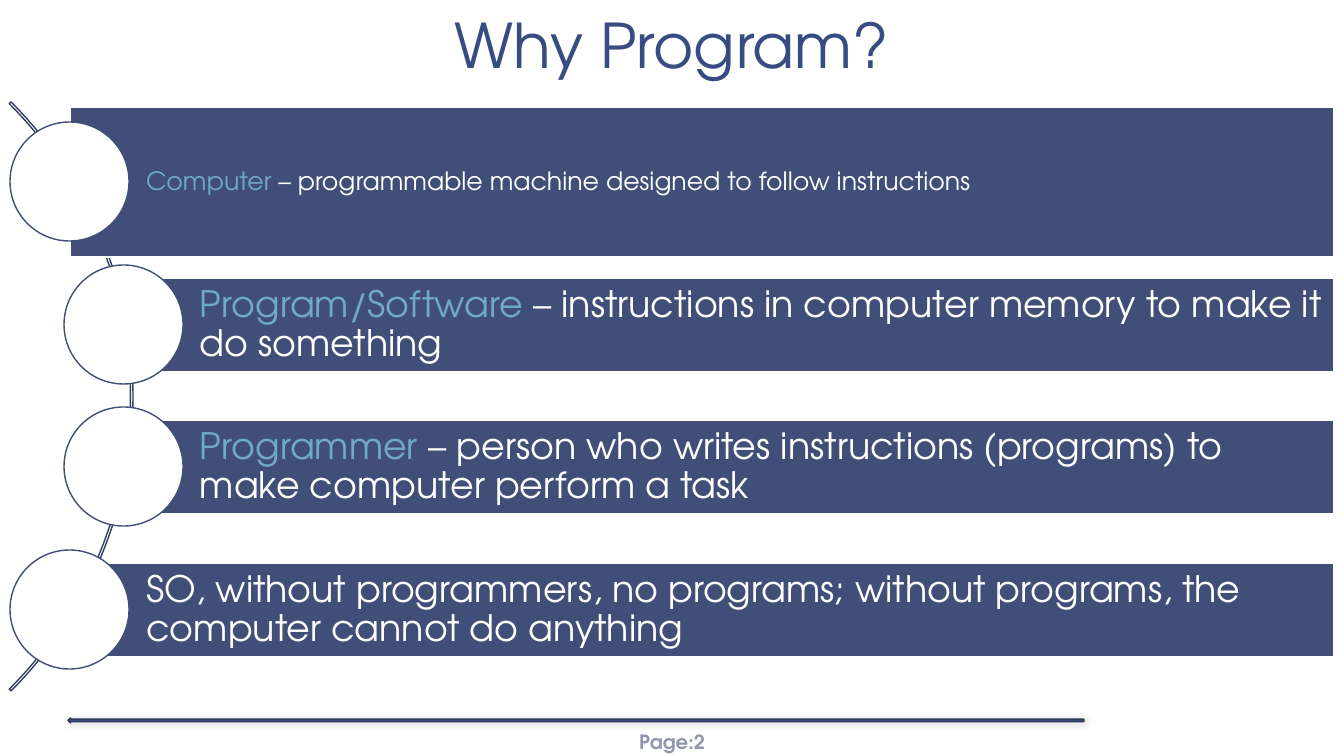
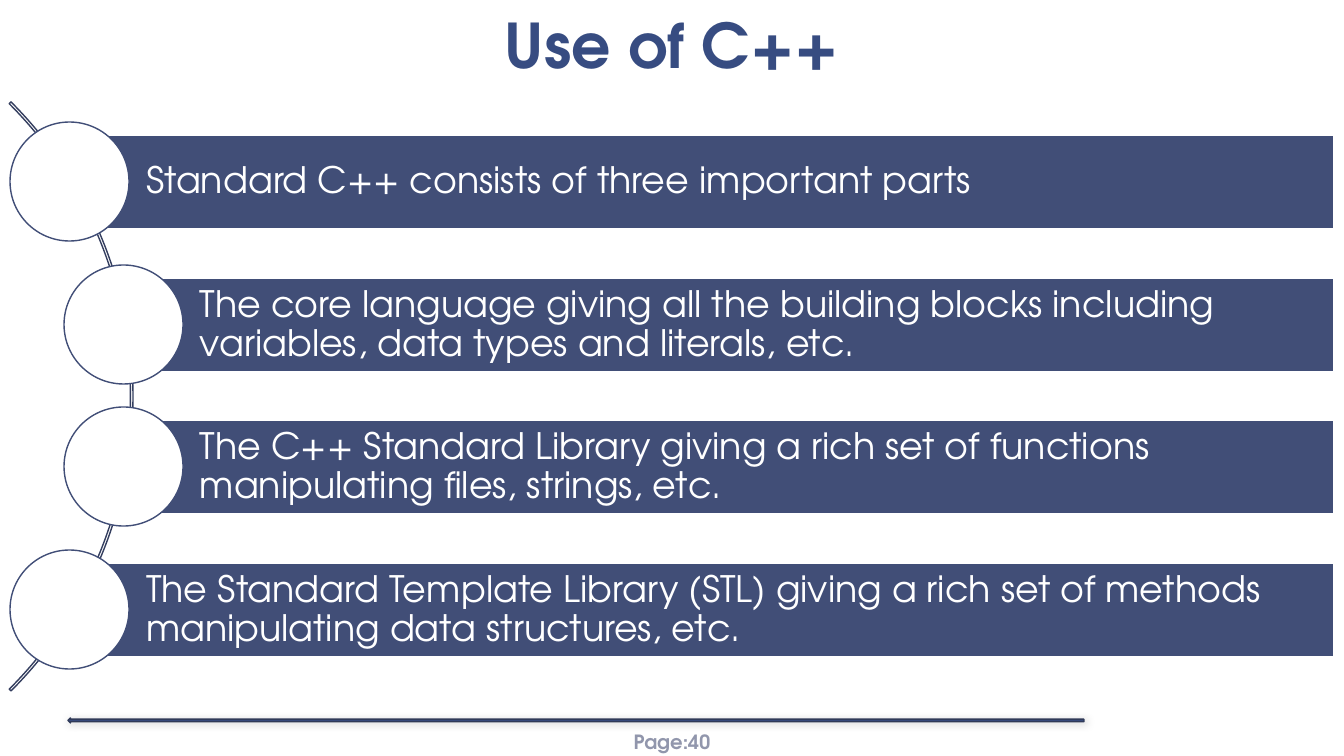
from dataclasses import dataclass

from lxml.etree import SubElement
from pptx import Presentation
from pptx.dml.color import RGBColor
from pptx.enum.shapes import MSO_SHAPE
from pptx.enum.text import MSO_ANCHOR, MSO_AUTO_SIZE, PP_ALIGN
from pptx.oxml.ns import qn
from pptx.presentation import Presentation as Deck
from pptx.shapes.autoshape import Shape
from pptx.slide import Slide
from pptx.text.text import TextFrame
from pptx.util import Emu, Pt

EMU_PER_PX = 914400 / 100.8
PAGE_WIDTH, PAGE_HEIGHT = 1344, 756
FONT = "TeX Gyre Adventor"

WHITE = "FFFFFF"
NAVY = "414E77"
TITLE_BLUE = "374C81"
ARC_BLUE = "343E5F"
RULE_EDGE = "303A58"
TERM_BLUE = "70AAC4"
FOOTER_GREY = "9196AC"

BAR_LEFTS = (70, 124, 124, 70)
BAR_RIGHT = 1334
BAR_HEIGHT = 94
FIRST_CENTRE, LAST_CENTRE = 182, 610
CIRCLE_SIZE = 119


@dataclass(frozen=True)
class Statement:
    text: str
    term: str = ""
    size: int = 26
    height: int = BAR_HEIGHT


@dataclass(frozen=True)
class Topic:
    title: str
    number: int
    statements: tuple[Statement, ...]
    bold_title: bool = False


TOPICS = (
    Topic("Why Program?", 2, (
        Statement(" – programmable machine designed to follow instructions",
                  "Computer", size=18, height=150),
        Statement(" – instructions in computer memory to make it do something",
                  "Program/Software"),
        Statement(" – person who writes instructions (programs) to make "
                  "computer perform a task", "Programmer"),
        Statement("SO, without programmers, no programs; without programs, "
                  "the computer cannot do anything"),
    )),
    Topic("Use of C++", 40, (
        Statement("Standard C++ consists of three important parts"),
        Statement("The core language giving all the building blocks including "
                  "variables, data types and literals, etc."),
        Statement("The C++ Standard Library giving a rich set of functions "
                  "manipulating files, strings, etc."),
        Statement("The Standard Template Library (STL) giving a rich set of "
                  "methods manipulating data structures, etc."),
    ), bold_title=True),
)


def px(length: int) -> Emu:
    return Emu(round(length * EMU_PER_PX))


def colour(code: str) -> RGBColor:
    return RGBColor.from_string(code)


def add_figure(page: Slide, kind: MSO_SHAPE, left: int, top: int, width: int,
               height: int, fill: str | None, line: str) -> Shape:
    figure = page.shapes.add_shape(kind, px(left), px(top), px(width), px(height))
    figure.shadow.inherit = False
    if fill is None:
        figure.fill.background()
    else:
        figure.fill.solid()
        figure.fill.fore_color.rgb = colour(fill)
    figure.line.color.rgb = colour(line)
    figure.line.width = Pt(1)
    return figure


def set_frame(frame: TextFrame, anchor: MSO_ANCHOR, left: int, top: int,
              right: int, bottom: int) -> None:
    frame.word_wrap = True
    frame.auto_size = MSO_AUTO_SIZE.NONE
    frame.vertical_anchor = anchor
    frame.margin_left, frame.margin_top = px(left), px(top)
    frame.margin_right, frame.margin_bottom = px(right), px(bottom)


def write_line(frame: TextFrame, text: str, size: int, code: str,
               align: PP_ALIGN, spacing: float = 1.0, bold: bool = False,
               term: str = "") -> None:
    para = frame.paragraphs[0]
    para.alignment = align
    para.line_spacing = spacing
    para.font.name = FONT
    para.font.size = Pt(size)
    para.font.bold = bold
    para.font.color.rgb = colour(code)
    if term:
        span = para.add_run()
        span.text = term
        span.font.color.rgb = colour(TERM_BLUE)
    para.add_run().text = text


def add_title(page: Slide, topic: Topic) -> None:
    title = page.shapes.title
    title.left, title.top = px(0), px(0)
    title.width, title.height = px(PAGE_WIDTH), px(87)
    set_frame(title.text_frame, MSO_ANCHOR.BOTTOM, 13, 7, 13, 7)
    write_line(title.text_frame, topic.title, 44, TITLE_BLUE, PP_ALIGN.CENTER,
               spacing=0.8, bold=topic.bold_title)


def add_footer(page: Slide, number: int) -> None:
    box = page.shapes.add_textbox(px(583), px(728), px(178), px(28))
    set_frame(box.text_frame, MSO_ANCHOR.MIDDLE, 4, 0, 4, 0)
    write_line(box.text_frame, f"Page:{number}", 14, FOOTER_GREY,
               PP_ALIGN.CENTER, bold=True)
    rule = add_figure(page, MSO_SHAPE.LEFT_ARROW, 68, 718, 1016, 5,
                      TITLE_BLUE, RULE_EDGE)
    effects = rule.element.spPr.find(qn("a:effectLst"))
    shadow = SubElement(effects, qn("a:outerShdw"), blurRad=str(Pt(6)),
                        dist=str(Pt(1)), dir=str(45 * 60000), rotWithShape="0")
    shade = SubElement(shadow, qn("a:srgbClr"), val="000000")
    SubElement(shade, qn("a:alpha"), val="20000")


def add_arc(page: Slide) -> None:
    arc = add_figure(page, MSO_SHAPE.BLOCK_ARC, -700, -20, 833, 833, None, ARC_BLUE)
    for index, value in enumerate((189, 27, 0.003)):
        arc.adjustments[index] = value


def add_statement(page: Slide, statement: Statement, left: int, centre: int) -> None:
    bar = add_figure(page, MSO_SHAPE.RECTANGLE, left, centre - statement.height // 2,
                     BAR_RIGHT - left, statement.height, NAVY, WHITE)
    set_frame(bar.text_frame, MSO_ANCHOR.MIDDLE, 76, 7, 7, 7)
    write_line(bar.text_frame, statement.text, statement.size, WHITE,
               PP_ALIGN.LEFT, spacing=0.9, term=statement.term)
    radius = (CIRCLE_SIZE + 1) // 2
    add_figure(page, MSO_SHAPE.OVAL, left - radius, centre - radius,
               CIRCLE_SIZE, CIRCLE_SIZE, WHITE, NAVY)


def add_topic(deck: Deck, topic: Topic) -> None:
    page = deck.slides.add_slide(deck.slide_layouts[5])
    add_title(page, topic)
    add_footer(page, topic.number)
    add_arc(page)
    pitch = (LAST_CENTRE - FIRST_CENTRE) / (len(topic.statements) - 1)
    for index, (statement, left) in enumerate(zip(topic.statements, BAR_LEFTS)):
        add_statement(page, statement, left, round(FIRST_CENTRE + index * pitch))


def main() -> None:
    deck = Presentation()
    deck.slide_width, deck.slide_height = px(PAGE_WIDTH), px(PAGE_HEIGHT)
    for topic in TOPICS:
        add_topic(deck, topic)
    deck.save("out.pptx")


if __name__ == "__main__":
    main()
